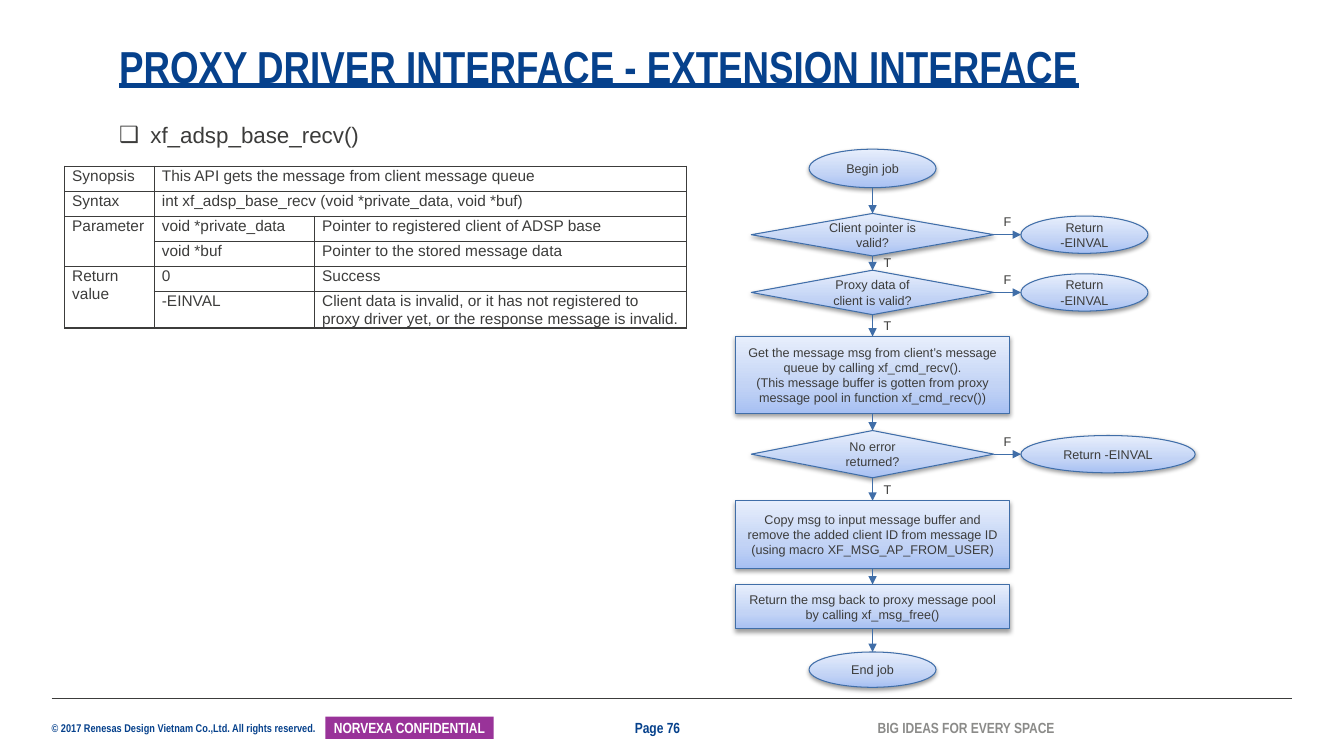
from copy import deepcopy
from dataclasses import dataclass

from lxml import etree
from pptx import Presentation
from pptx.dml.color import RGBColor
from pptx.enum.shapes import MSO_CONNECTOR, MSO_SHAPE
from pptx.enum.text import MSO_ANCHOR, MSO_AUTO_SIZE, PP_ALIGN
from pptx.oxml import parse_xml
from pptx.oxml.ns import nsdecls, qn
from pptx.util import Cm, Pt

OVAL, DECISION, STEP = MSO_SHAPE.OVAL, MSO_SHAPE.FLOWCHART_DECISION, MSO_SHAPE.RECTANGLE
STRAIGHT = MSO_CONNECTOR.STRAIGHT
TOP, MIDDLE, BOTTOM = MSO_ANCHOR.TOP, MSO_ANCHOR.MIDDLE, MSO_ANCHOR.BOTTOM
LEFT, CENTER = PP_ALIGN.LEFT, PP_ALIGN.CENTER
FIXED = MSO_AUTO_SIZE.NONE


@dataclass(frozen=True)
class Theme:
    ink: str = "3C3C3B"
    navy: str = "06418C"
    purple: str = "993399"
    gray: str = "8B8B89"
    white: str = "FFFFFF"
    edge: str = "406EA8"
    gradient: tuple = ((0, "A7C0F3"), (0.35, "C2D3F5"), (1, "E7EEFC"))
    body_font: str = "Arial"
    head_font: str = "Arial Narrow"
    title_size: float = 32
    body_size: float = 16
    table_size: float = 11
    footer_size: float = 10.5
    flow_size: float = 9
    legal_size: float = 8


THEME = Theme()
NO_INSET = dict(margin_left=0, margin_right=0, margin_top=0, margin_bottom=0)

# kind, top and height within the chart, text, lines of the "F" exit, exit width
FLOW = [
    (OVAL, 0, 0.97, ["Begin job"], None, 0),
    (DECISION, 1.62, 1.07, ["Client pointer is valid?"], ["Return", "-EINVAL"], 3.2),
    (DECISION, 3.05, 1.12, ["Proxy data of client is valid?"], ["Return", "-EINVAL"], 3.2),
    (STEP, 4.72, 1.93, [
        "Get the message msg from client’s message queue by calling xf_cmd_recv().",
        "(This message buffer is gotten from proxy message pool in function xf_cmd_recv())",
    ], None, 0),
    (DECISION, 7.09, 1.19, ["No error returned?"], ["Return -EINVAL"], 4.39),
    (STEP, 8.86, 1.7, [
        "Copy msg to input message buffer and",
        "remove the added client ID from message ID (using macro XF_MSG_AP_FROM_USER)",
    ], None, 0),
    (STEP, 10.97, 1.12,
     ["Return the msg back to proxy message pool by calling xf_msg_free()"], None, 0),
    (OVAL, 12.67, 0.89, ["End job"], None, 0),
]
FLOW_WIDTHS = {OVAL: 3.2, DECISION: 6.11, STEP: 6.9}

API_ROWS = [
    ("Synopsis", "This API gets the message from client message queue", ""),
    ("Syntax", "int xf_adsp_base_recv (void *private_data, void *buf)", ""),
    ("Parameter", "void *private_data", "Pointer to registered client of ADSP base"),
    ("", "void *buf", "Pointer to the stored message data"),
    ("Return value", "0", "Success"),
    ("", "-EINVAL", "Client data is invalid, or it has not registered to proxy driver yet, "
                    "or the response message is invalid."),
]
API_MERGES = [((0, 1), (0, 2)), ((1, 1), (1, 2)), ((2, 0), (3, 0)), ((4, 0), (5, 0))]


def rgb(value):
    return RGBColor.from_string(value)


def apply(target, values):
    for name, value in values.items():
        setattr(target, name, value)


def write(frame, lines, size, color=THEME.ink, font=THEME.body_font, bold=False,
          underline=False, paragraph=None, **frame_format):
    apply(frame, {"word_wrap": True, "auto_size": FIXED, **frame_format})
    for index, line in enumerate(lines):
        para = frame.add_paragraph() if index else frame.paragraphs[0]
        apply(para, paragraph or {})
        span = para.add_run()
        span.text = line
        apply(span.font, dict(name=font, size=Pt(size), bold=bold, underline=underline))
        span.font.color.rgb = rgb(color)


def place(shape, box):
    apply(shape, dict(zip(("left", "top", "width", "height"), map(Cm, box))))


def add_text(page, box, lines, size, **style):
    write(page.shapes.add_textbox(*map(Cm, box)).text_frame, lines, size, **style)


def add_line(page, start, end, color, width, arrow=False):
    line = page.shapes.add_connector(STRAIGHT, *map(Cm, start + end))
    line.line.color.rgb = rgb(color)
    line.line.width = Pt(width)
    properties = line._element.spPr
    if arrow:
        etree.SubElement(properties.find(qn("a:ln")), qn("a:tailEnd"), type="triangle")
    etree.SubElement(properties, qn("a:effectLst"))


def add_node(page, kind, box, lines):
    node = page.shapes.add_shape(kind, *map(Cm, box))
    # Three-stop gradient, rising from the bottom edge
    node.fill.gradient()
    node.fill.gradient_angle = 90
    stops = node._element.spPr.find(".//" + qn("a:gsLst"))
    stops.append(deepcopy(stops[0]))
    for stop, (position, color) in zip(node.fill.gradient_stops, THEME.gradient):
        stop.position = position
        stop.color.rgb = rgb(color)
    node.line.color.rgb = rgb(THEME.edge)
    node.line.width = Pt(0.75)
    # Soft shadow below
    node.shadow.inherit = False
    node._element.spPr.find(qn("a:effectLst")).append(parse_xml(
        f'<a:outerShdw {nsdecls("a")} blurRad="40000" dist="20000" dir="5400000" '
        'rotWithShape="0"><a:srgbClr val="000000"><a:alpha val="38000"/></a:srgbClr>'
        '</a:outerShdw>'))
    write(node.text_frame, lines, THEME.flow_size, paragraph=dict(alignment=CENTER),
          vertical_anchor=MIDDLE)


def add_heading(page, box):
    left, top, width, height = box
    title, body = page.shapes.title, page.placeholders[1]
    place(title, (left, top, width, height))
    write(title.text_frame, ["PROXY DRIVER INTERFACE - EXTENSION INTERFACE"],
          THEME.title_size, color=THEME.navy, font=THEME.head_font, bold=True, underline=True,
          paragraph=dict(alignment=LEFT, line_spacing=0.9), vertical_anchor=BOTTOM, **NO_INSET)
    # Bulleted function name
    place(body, (left, top + 1.8, 16.54, 0.81))
    properties = body.text_frame.paragraphs[0]._p.get_or_add_pPr()
    apply_indent = {"marL": Cm(0.79), "indent": -Cm(0.79)}
    for name, value in apply_indent.items():
        properties.set(name, str(int(value)))
    color = etree.SubElement(properties, qn("a:buClr"))
    etree.SubElement(color, qn("a:srgbClr"), val=THEME.ink)
    etree.SubElement(properties, qn("a:buChar"), char="❑")
    write(body.text_frame, ["xf_adsp_base_recv()"], THEME.body_size,
          paragraph=dict(line_spacing=1.2, space_before=Pt(0), space_after=Pt(8)),
          vertical_anchor=TOP, **NO_INSET)


def add_api_table(page, box):
    table = page.shapes.add_table(len(API_ROWS), 3, *map(Cm, box)).table
    apply(table, dict(first_row=False, horz_banding=False))
    for column, width in zip(table.columns, (2.26, 4.04, 9.37)):
        column.width = Cm(width)
    for row in table.rows:
        row.height = Cm(0.63)
    for first, last in API_MERGES:
        table.cell(*first).merge(table.cell(*last))
    for row, texts in zip(table.rows, API_ROWS):
        for cell, text in zip(row.cells, texts):
            properties = cell._tc.get_or_add_tcPr()
            for side in ("lnL", "lnR", "lnT", "lnB"):
                properties.append(parse_xml(
                    f'<a:{side} {nsdecls("a")} w="12700"><a:solidFill>'
                    f'<a:srgbClr val="{THEME.ink}"/></a:solidFill></a:{side}>'))
            cell.fill.background()
            apply(cell, dict(margin_left=Cm(0.19), margin_right=Cm(0.19),
                             margin_top=0, margin_bottom=0))
            if text:
                write(cell.text_frame, [text], THEME.table_size,
                      paragraph=dict(line_spacing=1.07))


def add_flowchart(page, box):
    left, top, width, _ = box
    axis = left + FLOW_WIDTHS[STEP] / 2
    exit_left = left + 7.19
    for index, (kind, offset, height, lines, exit_lines, exit_width) in enumerate(FLOW):
        node_width = FLOW_WIDTHS[kind]
        node_top = top + offset
        bottom, middle = node_top + height, node_top + height / 2
        add_node(page, kind, (axis - node_width / 2, node_top, node_width, height), lines)
        # Arrow to the next step
        if index + 1 < len(FLOW):
            next_top = top + FLOW[index + 1][1]
            add_line(page, (axis, bottom), (axis, next_top), THEME.edge, 0.75, arrow=True)
        # Error exit and branch labels
        if exit_lines:
            side = axis + node_width / 2
            add_node(page, OVAL, (exit_left, middle - 0.47, exit_width, 0.94), exit_lines)
            add_line(page, (side, middle), (exit_left, middle), THEME.edge, 0.75, arrow=True)
            add_text(page, (side, middle - 0.64, 0.71, 0.64), ["F"], THEME.flow_size)
            add_text(page, (axis + 0.03, (bottom + next_top) / 2 - 0.32, 0.81, 0.64), ["T"],
                     THEME.flow_size)


def add_footer(page, box):
    left, top, width, _ = box
    label = dict(font=THEME.head_font, bold=True, **NO_INSET)
    add_line(page, (left, top), (left + width, top), THEME.ink, 0.5)
    add_text(page, (left, top + 0.58, 6.78, 0.33),
             ["© 2017 Renesas Design Vietnam Co.,Ltd. All rights reserved."],
             THEME.legal_size, color=THEME.navy, **{**label, "word_wrap": False})
    # Confidentiality tag
    tag = page.shapes.add_shape(STEP, *map(Cm, (left + 6.9, top + 0.46, 4.24, 0.56)))
    tag.shadow.inherit = False
    tag.fill.solid()
    tag.fill.fore_color.rgb = rgb(THEME.purple)
    tag.line.fill.background()
    write(tag.text_frame, ["NORVEXA CONFIDENTIAL"], THEME.footer_size, color=THEME.white,
          paragraph=dict(alignment=CENTER), vertical_anchor=MIDDLE,
          **{**label, "margin_left": Cm(0.1), "margin_right": Cm(0.1)})
    # Page number and slogan
    for offset, text_width, text, color in ((14.7, 1.85, "Page 76", THEME.navy),
                                            (20.82, 4.57, "BIG IDEAS FOR EVERY SPACE", THEME.gray)):
        add_text(page, (left + offset, top + 0.5, text_width, 0.46), [text],
                 THEME.footer_size, color=color, vertical_anchor=MIDDLE, **label)


def main():
    deck = Presentation()
    apply(deck, dict(slide_width=Cm(33.87), slide_height=Cm(19.05)))
    page = deck.slides.add_slide(deck.slide_layouts[1])
    add_footer(page, (1.3, 17.6, 31.26, 1.2))
    add_heading(page, (3, 1.12, 27.53, 1.22))
    add_api_table(page, (1.63, 4.19, 15.67, 3.78))
    add_flowchart(page, (18.54, 3.76, 11.58, 13.56))
    deck.save("out.pptx")


if __name__ == "__main__":
    main()
